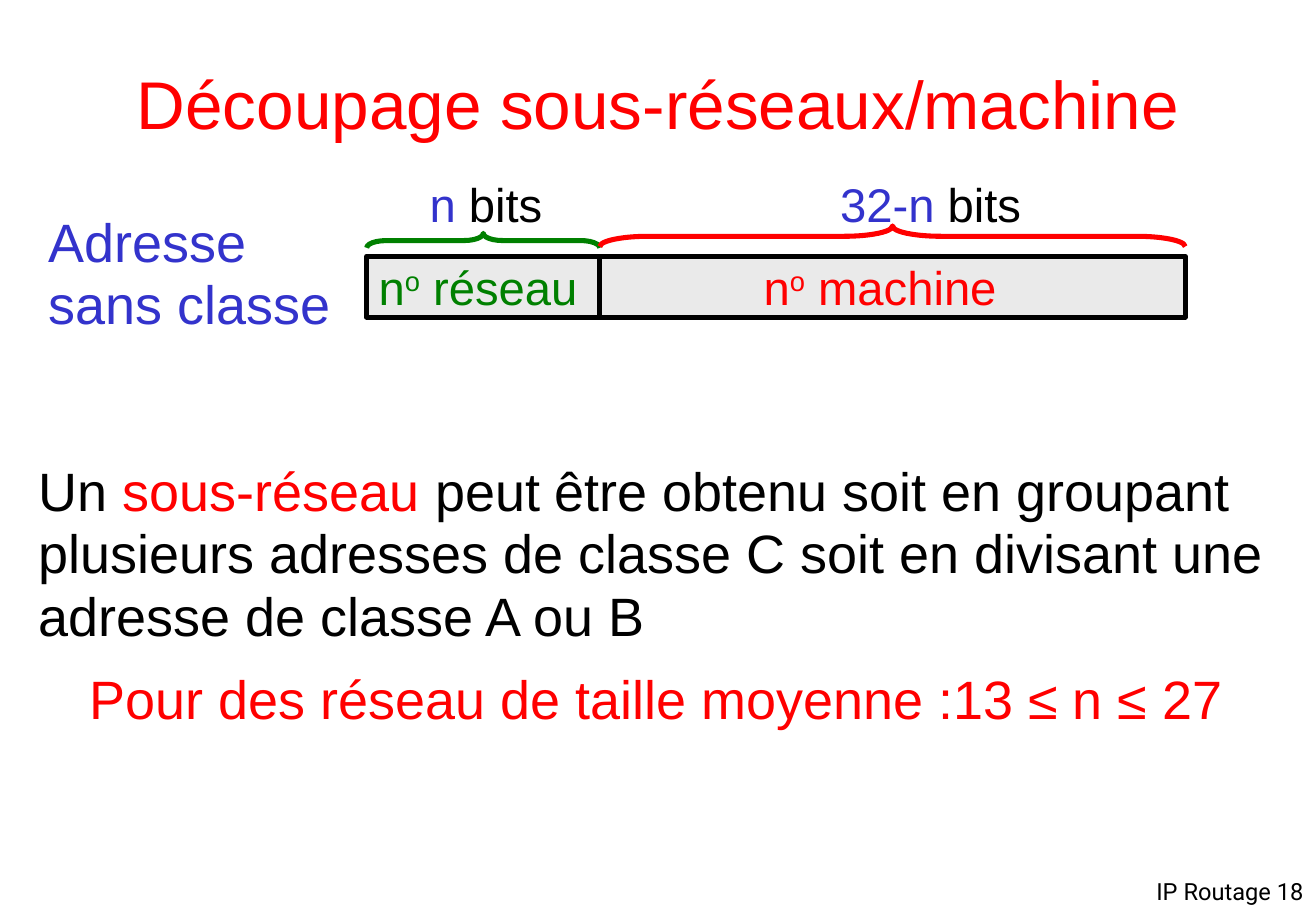
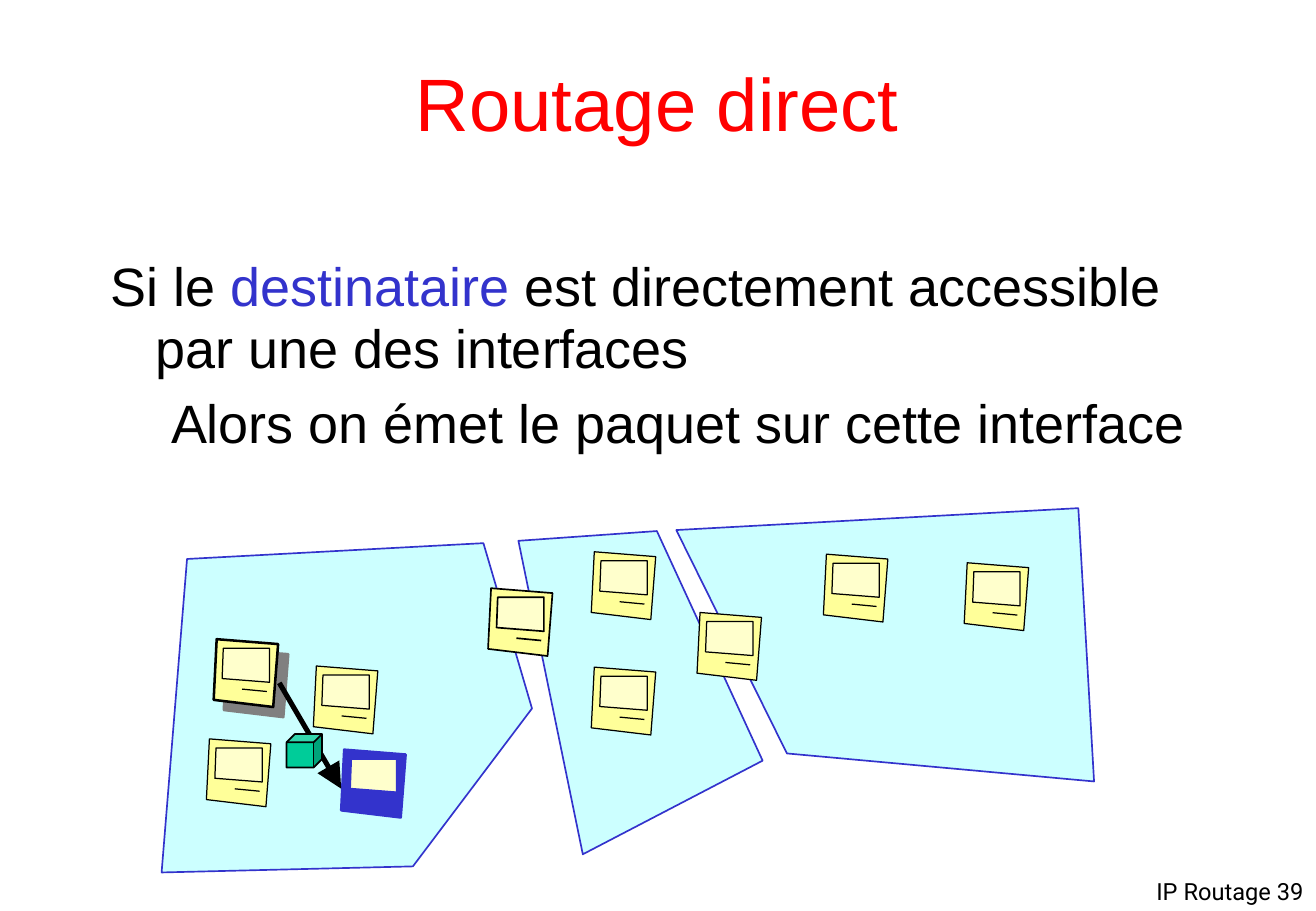
from pptx import Presentation
from pptx.dml.color import RGBColor
from pptx.enum.shapes import MSO_CONNECTOR, MSO_SHAPE
from pptx.enum.text import MSO_ANCHOR, PP_ALIGN
from pptx.oxml.ns import qn
from pptx.util import Pt
from lxml import etree

LEFT, MID, RIGHT = PP_ALIGN.LEFT, PP_ALIGN.CENTER, PP_ALIGN.RIGHT
TOP, CENTER = MSO_ANCHOR.TOP, MSO_ANCHOR.MIDDLE
RECT, BRACE, CUBE = MSO_SHAPE.RECTANGLE, MSO_SHAPE.LEFT_BRACE, MSO_SHAPE.CUBE
STRAIGHT = MSO_CONNECTOR.STRAIGHT

INK = {
    "black": "000000", "red": "FF0000", "blue": "3333CC", "green": "008000",
    "bar": "EAEAEA", "zone": "CCFFFF", "case": "FFFF99", "screen": "FFFFCC",
    "packet": "00CC99", "shade": "808080",
}
SANS, FOOT = "Arial", "Roboto"

# Computer outline, relative to its top left corner
CASE = [(0, 36), (1.8, 0), (38.2, 2.9), (35.3, 40.2)]
SCREEN = [(5.7, 5.3), (5, 23.3), (33.1, 25.5), (33.1, 5.3)]
SLOT = [(16.8, 29.6), (31.5, 31)]


def rgb(name):
    return RGBColor.from_string(INK[name])


# Text: each paragraph is a dict with its runs as (text, colour, raised)
def para(*runs, align=LEFT, before=0, space=0.96, margin=0, indent=0):
    return dict(runs=runs, align=align, before=before, space=space,
                margin=margin, indent=indent)


def write(slide, box, paras, size, font=SANS, anchor=TOP):
    frame = slide.shapes.add_textbox(*map(Pt, box)).text_frame
    frame.word_wrap = True
    frame.vertical_anchor = anchor
    for i, item in enumerate(paras):
        p = frame.add_paragraph() if i else frame.paragraphs[0]
        p.alignment = item["align"]
        p.line_spacing = item["space"]
        p.space_before = Pt(item["before"])
        props = p._p.get_or_add_pPr()
        props.set("marL", str(Pt(item["margin"])))
        props.set("indent", str(Pt(item["indent"])))
        p.font.size = Pt(size)
        p.font.name = font
        for text, ink, *raised in item["runs"]:
            run = p.add_run()
            run.text = text
            run.font.color.rgb = rgb(ink)
            if raised:
                run._r.get_or_add_rPr().set("baseline", "30000")


# Shapes and lines
def paint(shape, fill, ink, width):
    shape.shadow.inherit = False
    if fill:
        shape.fill.solid()
        shape.fill.fore_color.rgb = rgb(fill)
    else:
        shape.fill.background()
    shape.line.color.rgb = rgb(ink)
    shape.line.width = Pt(width)
    return shape


def preset(slide, kind, box, fill, ink, width):
    shape = slide.shapes.add_shape(kind, *map(Pt, box))
    return paint(shape, fill, ink, width)


def poly(slide, x, y, dots, fill, ink, width):
    spots = [(Pt(x + dx), Pt(y + dy)) for dx, dy in dots]
    maker = slide.shapes.build_freeform(*spots[0])
    maker.add_line_segments(spots[1:], close=True)
    return paint(maker.convert_to_shape(), fill, ink, width)


def rule(slide, x, y, ends, ink, width, arrow=False):
    (ax, ay), (bx, by) = ends
    line = slide.shapes.add_connector(
        STRAIGHT, Pt(x + ax), Pt(y + ay), Pt(x + bx), Pt(y + by))
    line.line.color.rgb = rgb(ink)
    line.line.width = Pt(width)
    props = line._element.spPr
    etree.SubElement(props, qn("a:effectLst"))
    if arrow:
        etree.SubElement(props.find(qn("a:ln")), qn("a:tailEnd"),
                         type="triangle", w="lg", len="lg")


def brace(slide, x, base, width, depth, curve, ink):
    # The left brace is turned so that its tip points up
    left = x + (width - depth) / 2
    top = base - (depth + width) / 2
    shape = preset(slide, BRACE, (left, top, depth, width), None, ink, 3)
    shape.rotation = 90
    shape.adjustments[0] = curve / depth


def shade(shape):
    effects = shape._element.spPr.find(qn("a:effectLst"))
    outer = etree.SubElement(effects, qn("a:outerShdw"), blurRad="0",
                             dist=str(Pt(8.5)), dir="2700000", algn="tl",
                             rotWithShape="0")
    etree.SubElement(outer, qn("a:srgbClr"), val=INK["shade"])


# Title and footer shared by all slides
def page(deck, title, size, number):
    slide = deck.slides.add_slide(deck.slide_layouts[6])
    write(slide, (645, 517.2, 135, 26),
          [para((f"IP Routage {number}", "black"), align=RIGHT)], 14, FOOT)
    write(slide, (58.3, 18, 663, 90),
          [para((title, "red"), align=MID)], size, anchor=CENTER)
    return slide


# Address bar split into network and machine parts
def address(slide, x, y, width, split, height=36):
    preset(slide, RECT, (x, y, width, height), "bar", "black", 3)
    rule(slide, x + split, y, [(0, 0), (0, height)], "black", 3)
    brace(slide, x, y - 5.1, split, 8.6, 11.5, "green")
    brace(slide, x + split, y - 5.8, width - split, 12.2, 28.8, "red")
    for dx, count, wide in [(30.2, "n", 100), (273.6, "32-n", 140)]:
        write(slide, (x + dx, y - 49.7, wide, 40),
              [para((count, "blue"), (" bits", "black"))], 28)
    for dx, word, ink in [(0, "réseau", "green"), (228.3, "machine", "red")]:
        write(slide, (x + dx, y, 175, 40),
              [para(("n", ink), ("o", ink, True), (f" {word}", ink))], 28)


def computer(slide, x, y, width=0.75, inner=0.75, case="case", ink="black"):
    body = poly(slide, x, y, CASE, case, ink, width)
    poly(slide, x, y, SCREEN, "screen", ink, inner)
    rule(slide, x, y, SLOT, ink, inner)
    return body


# Three networks, their machines and the packet on its way
def network(slide, x, y):
    zones = [
        [(305.2, 13), (543.6, 0), (552.9, 162), (370.8, 145.4)],
        [(15.1, 30.2), (190.8, 20.8), (219.6, 118.8), (149, 212.4), (0, 216)],
        [(211.6, 19.4), (293.7, 13.6), (356.4, 149.7), (249.8, 205.2)],
    ]
    for dots in zones:
        poly(slide, x, y, dots, "zone", "blue", 1)
    shade(computer(slide, x + 30.9, y + 77.7, 1.5))
    hosts = [(90, 93.6), (26.6, 136.8), (254.8, 25.9), (254.8, 94.3),
             (475.9, 32.4), (317.5, 61.9), (392.4, 27.3)]
    for dx, dy in hosts:
        computer(slide, x + dx, y + dy)
    computer(slide, x + 193.6, y + 47.5, 1, 1)
    computer(slide, x + 106.5, y + 143.2, 1.5, 1.5, "blue", "blue")
    rule(slide, x, y, [(69.8, 103.6), (106.5, 166.3)], "black", 3, arrow=True)
    preset(slide, CUBE, (x + 74.1, y + 133.9, 21, 19.9), "packet", "black", 1)


def split_page(deck):
    slide = page(deck, "Découpage sous-réseaux/machine", 40, 18)
    write(slide, (21.6, 122.6, 198.7, 81),
          [para(("Adresse sans classe", "blue"))], 32)
    address(slide, 217.4, 152, 485.3, 138.2)
    write(slide, (15.8, 270.2, 747.4, 167), [
        para(("Un ", "black"), ("sous-réseau", "red"),
             (" peut être obtenu soit en groupant plusieurs adresses de classe C"
              " soit en divisant une adresse de classe A ou B", "black")),
        para(("Pour des réseau de taille moyenne :13 ≤ n ≤ 27", "red"),
             align=MID, before=12.4),
    ], 32)


def direct_page(deck):
    slide = page(deck, "Routage direct", 44, 39)
    write(slide, (58.3, 148.5, 663, 372), [
        para(("Si le ", "black"), ("destinataire", "blue"),
             (" est directement accessible par une des interfaces", "black"),
             margin=26.6, indent=-26.6),
        para(("Alors on émet le paquet sur cette interface", "black"),
             before=6.9, space=0.99, margin=58.3, indent=-22.3),
    ], 32)
    network(slide, 95.8, 301.2)


def main():
    deck = Presentation()
    deck.slide_width, deck.slide_height = Pt(780.25), Pt(540)
    split_page(deck)
    direct_page(deck)
    deck.save("out.pptx")


if __name__ == "__main__":
    main()
